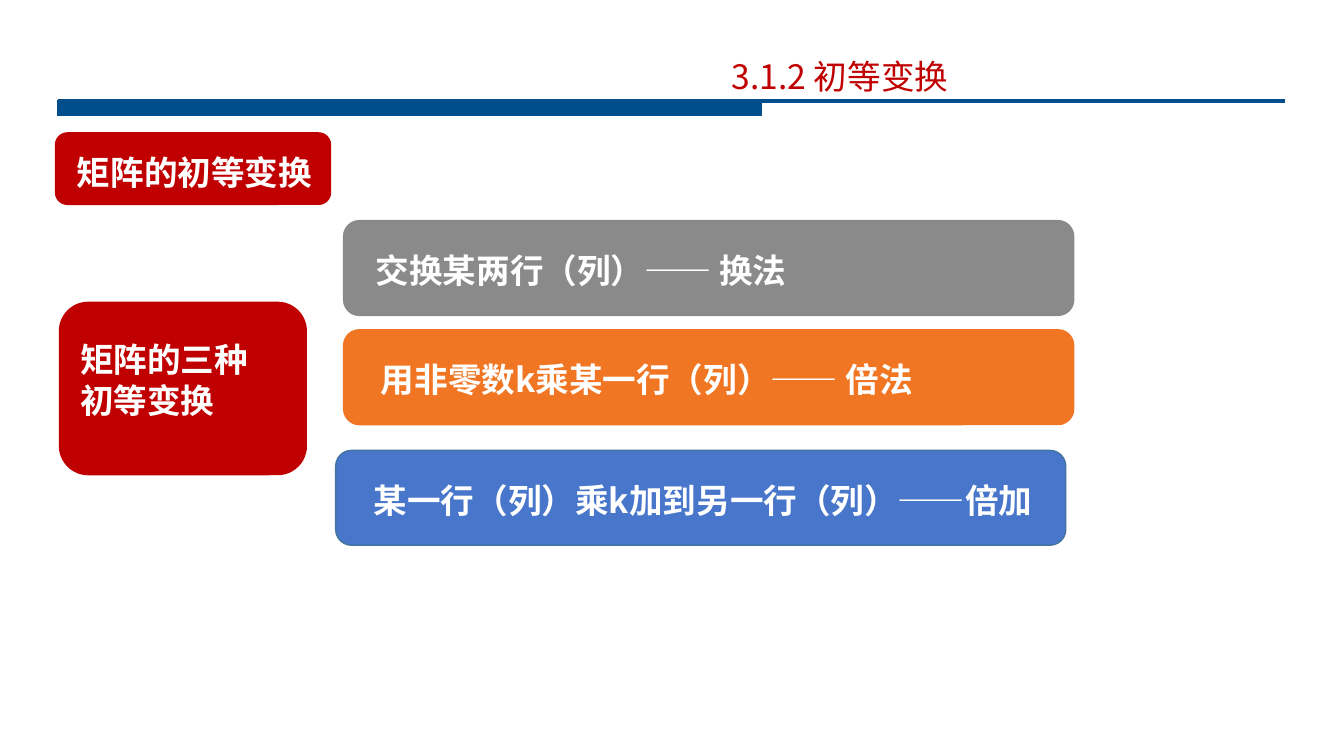
from pptx import Presentation
from pptx.dml.color import RGBColor
from pptx.enum import shapes, text
from pptx.oxml.ns import qn
from pptx.util import Cm, Pt
from lxml import etree

COLORS = {"navy": "004F8C", "red": "C00000", "gray": "8A8A8A", "orange": "F17623",
          "blue": "4876CA", "blue_edge": "43739E", "white": "FFFFFF"}
FONT = "Noto Sans CJK SC"
FRAME = {"margin_left": Cm(0.25), "margin_right": Cm(0.25), "margin_top": Cm(0.18),
         "margin_bottom": Cm(0.13), "auto_size": text.MSO_AUTO_SIZE.NONE,
         "vertical_anchor": text.MSO_ANCHOR.TOP}


def rgb(name):
    return RGBColor.from_string(COLORS[name])


def set_all(target, values):
    for attribute, value in values.items():
        setattr(target, attribute, value)


def add_block(slide, kind, box, fill, edge=None):
    block = slide.shapes.add_shape(kind, *map(Cm, box))
    block.shadow.inherit = False
    block.fill.solid()
    block.fill.fore_color.rgb = rgb(fill)
    block.line.color.rgb = rgb(edge or fill)
    block.line.width = Pt(1)


def add_label(slide, box, lines, color="white", bold=True, wrap=True):
    frame = slide.shapes.add_textbox(*map(Cm, box)).text_frame
    set_all(frame, {**FRAME, "word_wrap": wrap})
    for number, line in enumerate(lines):
        paragraph = frame.add_paragraph() if number else frame.paragraphs[0]
        set_all(paragraph, {"line_spacing": Pt(29), "alignment": text.PP_ALIGN.LEFT})
        run = paragraph.add_run()
        run.text = line
        set_all(run.font, {"name": FONT, "size": Pt(24), "bold": bold})
        run.font.color.rgb = rgb(color)
        # East Asian typeface
        etree.SubElement(run.font._element, qn("a:ea"), typeface=FONT)


def add_header(slide, left, top, width):
    rule = slide.shapes.add_connector(shapes.MSO_CONNECTOR.STRAIGHT,
                                      Cm(left), Cm(top), Cm(left + width), Cm(top))
    rule.line.color.rgb = rgb("navy")
    rule.line.width = Pt(3)
    etree.SubElement(rule._element.spPr, qn("a:effectLst"))
    add_block(slide, shapes.MSO_SHAPE.RECTANGLE, (left, top, 17.73, 0.38), "navy")
    add_label(slide, (left + 16.74, top - 1.32, 13.64, 1.27),
              ["3.1.2 初等变换"], color="red", bold=False)


def add_card(slide, box, lines, fill, indent, drop, edge=None, wrap=True):
    """Rounded card with its label offset by indent and drop."""
    left, top, width, height = box
    add_block(slide, shapes.MSO_SHAPE.ROUNDED_RECTANGLE, box, fill, edge)
    add_label(slide, (left + indent, top + drop, width - indent, height - drop),
              lines, wrap=wrap)


def add_operations(slide, left, top):
    """The three elementary operations: offsets, label, fill, edge, indent."""
    operations = [
        (0, 0, "交换某两行（列）—— 换法", "gray", None, 0.56),
        (0, 2.75, "用非零数k乘某一行（列）—— 倍法", "orange", None, 0.69),
        (-0.2, 5.79, "某一行（列）乘k加到另一行（列）——倍加", "blue", "blue_edge", 0.71),
    ]
    for shift, drop, operation, fill, edge, indent in operations:
        add_card(slide, (left + shift, top + drop, 18.4, 2.39), [operation],
                 fill, indent, 0.55, edge, wrap=False)


def main():
    deck = Presentation()
    set_all(deck, {"slide_width": Cm(33.87), "slide_height": Cm(19.05)})
    slide = deck.slides.add_slide(deck.slide_layouts[6])
    add_header(slide, 1.45, 2.54, 30.94)
    # Topic and its three kinds
    add_card(slide, (1.4, 3.35, 6.93, 1.8), ["矩阵的初等变换"], "red", 0.29, 0.3)
    add_card(slide, (1.5, 7.62, 6.22, 4.34), ["矩阵的三种", "初等变换"], "red", 0.27, 0.74)
    add_operations(slide, 8.66, 5.56)
    deck.save("out.pptx")


if __name__ == "__main__":
    main()
